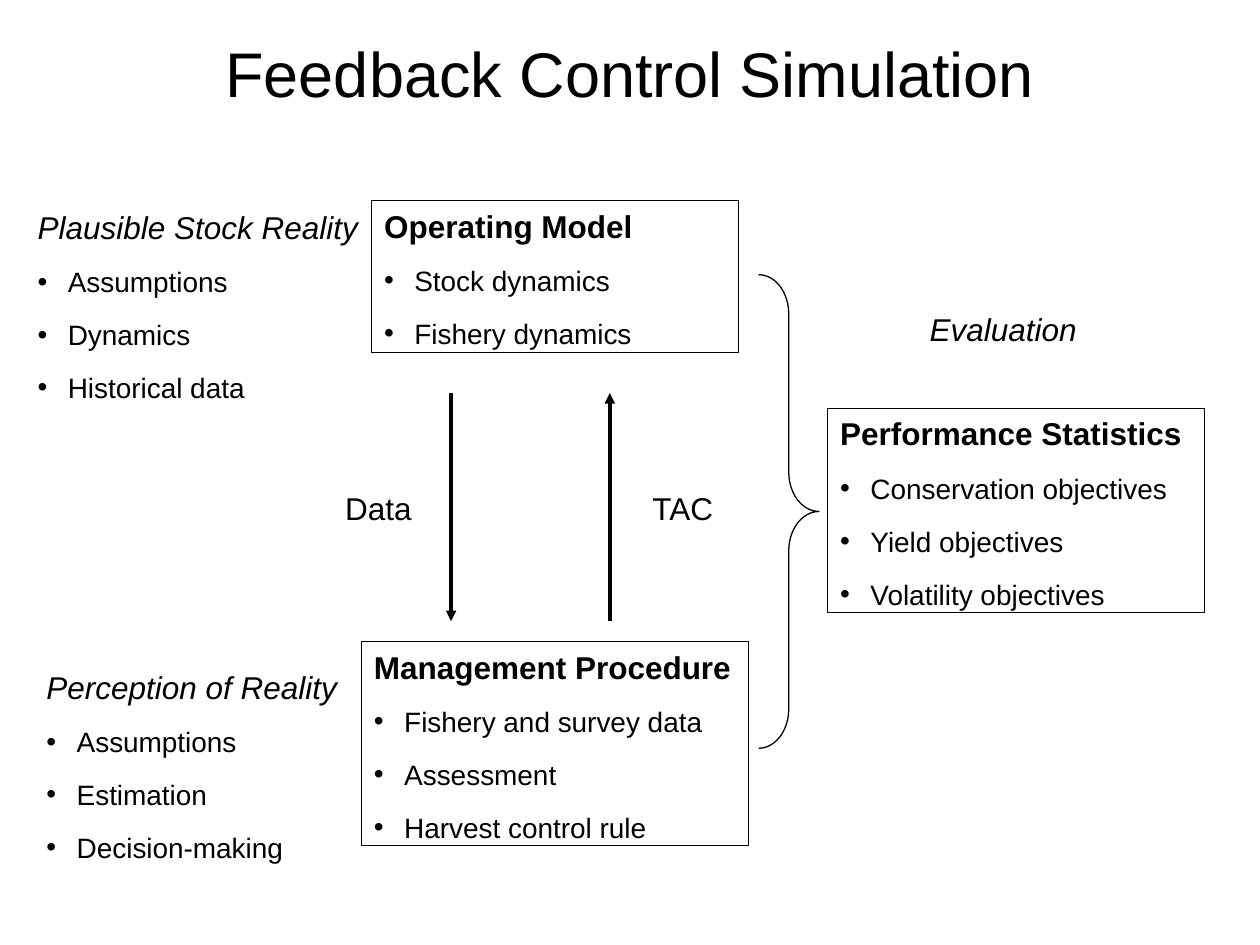
from lxml.etree import SubElement
from pptx import Presentation
from pptx.dml.color import RGBColor
from pptx.enum.shapes import MSO_CONNECTOR, MSO_SHAPE
from pptx.enum.text import MSO_ANCHOR, PP_ALIGN
from pptx.oxml.ns import qn
from pptx.util import Inches, Pt

BLACK = RGBColor(0, 0, 0)
FONT = "Arial"
BULLET_INDENT = Inches(0.24)


def format_runs(paragraph, size, bold=False, italic=False):
    for run in paragraph.runs:
        run.font.name = FONT
        run.font.size = Pt(size)
        run.font.bold = bold
        run.font.italic = italic
        run.font.color.rgb = BLACK


def write_list(frame, heading, items, bold=False, italic=False):
    frame.word_wrap = True
    frame.vertical_anchor = MSO_ANCHOR.TOP
    frame.text = "\n".join([heading, *items])
    for index, paragraph in enumerate(frame.paragraphs):
        paragraph.alignment = PP_ALIGN.LEFT
        paragraph.space_before = Pt(11)
        if index == 0:
            format_runs(paragraph, 18, bold, italic)
        else:
            format_runs(paragraph, 16)
            properties = paragraph._p.get_or_add_pPr()
            properties.set("marL", str(BULLET_INDENT))
            properties.set("indent", str(-BULLET_INDENT))
            SubElement(properties, qn("a:buFont"), typeface=FONT)
            SubElement(properties, qn("a:buChar"), char="•")


prs = Presentation()
prs.slide_width = Inches(10)
prs.slide_height = Inches(7.5)
slide = prs.slides.add_slide(prs.slide_layouts[5])

title = slide.shapes.title
title.left, title.top = Inches(0.5), Inches(0.3)
title.width, title.height = Inches(9), Inches(0.54)
title.text_frame.text = "Feedback Control Simulation"
title.text_frame.vertical_anchor = MSO_ANCHOR.MIDDLE
title.text_frame.paragraphs[0].alignment = PP_ALIGN.CENTER
format_runs(title.text_frame.paragraphs[0], 36)

stages = [
    (2.95, 1.59, 2.91, 1.21, "Operating Model", ["Stock dynamics", "Fishery dynamics"]),
    (2.87, 5.09, 3.07, 1.62, "Management Procedure",
     ["Fishery and survey data", "Assessment", "Harvest control rule"]),
    (6.57, 3.24, 2.99, 1.62, "Performance Statistics",
     ["Conservation objectives", "Yield objectives", "Volatility objectives"]),
]
for left, top, width, height, heading, items in stages:
    stage = slide.shapes.add_shape(
        MSO_SHAPE.RECTANGLE, Inches(left), Inches(top), Inches(width), Inches(height))
    stage.shadow.inherit = False
    stage.fill.background()
    stage.line.color.rgb = BLACK
    stage.line.width = Pt(0.75)
    write_list(stage.text_frame, heading, items, bold=True)

notes = [
    (0.2, 1.6, 2.76, 1.62, "Plausible Stock Reality",
     ["Assumptions", "Dynamics", "Historical data"], True),
    (0.27, 5.25, 2.52, 1.62, "Perception of Reality",
     ["Assumptions", "Estimation", "Decision-making"], True),
    (7.28, 2.41, 1.58, 0.4, "Evaluation", [], True),
    (2.64, 3.83, 0.79, 0.4, "Data", [], False),
    (5.08, 3.83, 0.71, 0.4, "TAC", [], False),
]
for left, top, width, height, heading, items, italic in notes:
    note = slide.shapes.add_textbox(Inches(left), Inches(top), Inches(width), Inches(height))
    write_list(note.text_frame, heading, items, italic=italic)

for x, start, end in [(3.58, 3.12, 4.93), (4.84, 4.93, 3.12)]:
    flow = slide.shapes.add_connector(
        MSO_CONNECTOR.STRAIGHT, Inches(x), Inches(start), Inches(x), Inches(end))
    flow.line.color.rgb = BLACK
    flow.line.width = Pt(2)
    SubElement(flow.line._get_or_add_ln(), qn("a:tailEnd"), type="triangle")
    SubElement(flow._element.spPr, qn("a:effectLst"))

brace = slide.shapes.add_shape(
    MSO_SHAPE.RIGHT_BRACE, Inches(6.02), Inches(2.18), Inches(0.48), Inches(3.76))
brace.adjustments[0] = 0.65
brace.adjustments[1] = 0.5
brace.shadow.inherit = False
brace.fill.background()
brace.line.color.rgb = BLACK
brace.line.width = Pt(0.75)

prs.save("out.pptx")
